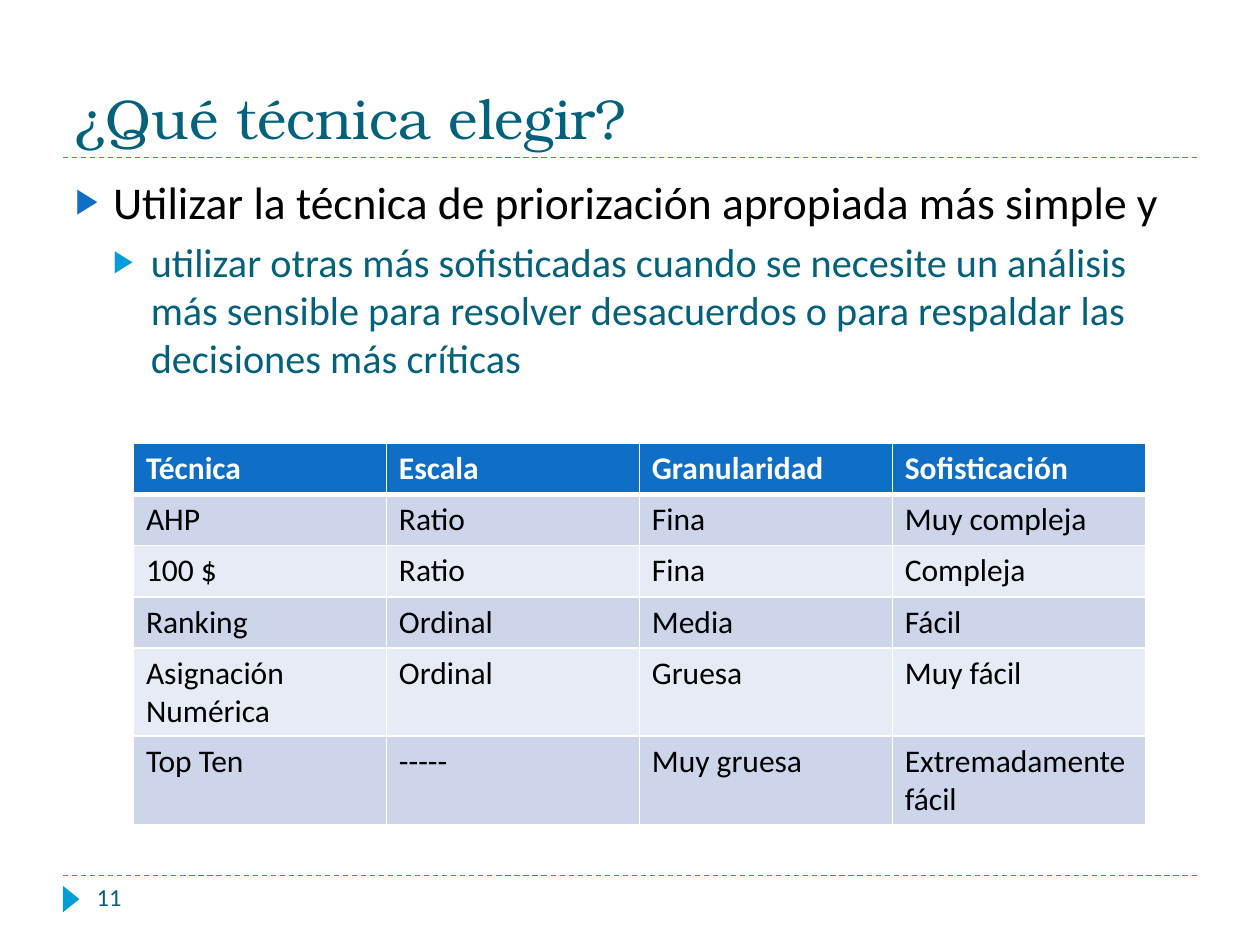
from lxml import etree
from pptx import Presentation
from pptx import util as u
from pptx.dml.color import RGBColor
from pptx.enum import dml, shapes, text
from pptx.oxml import ns

COLOURS = {
    "white": "FFFFFF",
    "black": "000000",
    "teal": "04617B",
    "blue": "0F6FC6",
    "cyan": "009DD9",
    "band_dark": "CCD5EA",
    "band_light": "E7EBF5",
}
BODY_FONT = "Calibri"
TITLE_FONT = "TeX Gyre Bonum"

TECHNIQUES = [
    ["Técnica", "Escala", "Granularidad", "Sofisticación"],
    ["AHP", "Ratio", "Fina", "Muy compleja"],
    ["100 $", "Ratio", "Fina", "Compleja"],
    ["Ranking", "Ordinal", "Media", "Fácil"],
    ["Asignación Numérica", "Ordinal", "Gruesa", "Muy fácil"],
    ["Top Ten", "-----", "Muy gruesa", "Extremadamente fácil"],
]


def colour(name):
    return RGBColor.from_string(COLOURS[name])


def add_element(parent, tag, **attributes):
    element = etree.SubElement(parent, ns.qn(tag))
    for key, value in attributes.items():
        element.set(key, str(value))
    return element


def write(para, words, size=18, font=BODY_FONT, ink="black", bold=False):
    span = para.add_run()
    span.text = words
    span.font.size = u.Pt(size)
    span.font.name = font
    span.font.bold = bold
    span.font.color.rgb = colour(ink)


def set_bullet(para, ink, level):
    step = u.Cm(0.76)
    properties = para._p.get_or_add_pPr()
    properties.set("marL", str(step * (level + 1)))
    properties.set("indent", str(-step))
    bullet_colour = add_element(properties, "a:buClr")
    add_element(bullet_colour, "a:srgbClr", val=COLOURS[ink])
    add_element(properties, "a:buSzPct", val=76000)
    add_element(properties, "a:buFont", typeface=BODY_FONT)
    add_element(properties, "a:buChar", char="▶")


def set_border(cell, side, width):
    line = add_element(cell._tc.get_or_add_tcPr(), f"a:ln{side}", w=u.Pt(width))
    fill = add_element(line, "a:solidFill")
    add_element(fill, "a:srgbClr", val=COLOURS["white"])


class SlideBuilder:
    def __init__(self, deck):
        self.page = deck.slides.add_slide(deck.slide_layouts[6])

    def rule(self, top):
        line = self.page.shapes.add_connector(
            shapes.MSO_CONNECTOR.STRAIGHT, u.Cm(1.27), u.Cm(top), u.Cm(24.13), u.Cm(top))
        line.line.color.rgb = colour("cyan")
        line.line.width = u.Pt(0.75)
        line.line.dash_style = dml.MSO_LINE.DASH
        add_element(line._element.spPr, "a:effectLst")

    def marker(self, left, top, width, height):
        triangle = self.page.shapes.add_shape(
            shapes.MSO_SHAPE.ISOSCELES_TRIANGLE,
            u.Cm(left), u.Cm(top), u.Cm(width), u.Cm(height))
        triangle.rotation = 90
        triangle.shadow.inherit = False
        triangle.fill.solid()
        triangle.fill.fore_color.rgb = colour("cyan")
        triangle.line.fill.background()

    def frame(self, left, top, width, height, anchor=text.MSO_ANCHOR.TOP):
        box = self.page.shapes.add_textbox(u.Cm(left), u.Cm(top), u.Cm(width), u.Cm(height))
        box.text_frame.word_wrap = True
        box.text_frame.vertical_anchor = anchor
        return box.text_frame

    def label(self, words, *place, anchor=text.MSO_ANCHOR.TOP, **style):
        write(self.frame(*place, anchor=anchor).paragraphs[0], words, **style)

    def bullets(self, items, *place):
        frame = self.frame(*place)
        for level, (words, size, ink, bullet_ink, space) in enumerate(items):
            para = frame.add_paragraph() if level else frame.paragraphs[0]
            para.level = level
            para.space_before = u.Pt(space)
            set_bullet(para, bullet_ink, level)
            write(para, words, size=size, ink=ink)

    def table(self, rows, left, top, width, row_height):
        grid = self.page.shapes.add_table(
            len(rows), len(rows[0]), u.Cm(left), u.Cm(top),
            u.Cm(width), u.Cm(row_height * len(rows))).table
        for index, row in enumerate(rows):
            header = index == 0
            band = "blue" if header else "band_dark" if index % 2 else "band_light"
            for column, words in enumerate(row):
                cell = grid.cell(index, column)
                for side in "LRTB":
                    thick = (header and side == "B") or (index == 1 and side == "T")
                    set_border(cell, side, 3 if thick else 1)
                cell.fill.solid()
                cell.fill.fore_color.rgb = colour(band)
                write(cell.text_frame.paragraphs[0], words,
                      ink="white" if header else "black", bold=header)


def main():
    deck = Presentation()
    deck.slide_width = u.Cm(25.4)
    deck.slide_height = u.Cm(19.05)
    slide = SlideBuilder(deck)
    slide.rule(17.65)
    slide.rule(3.18)
    slide.marker(1.17, 17.96, 0.53, 0.33)
    slide.label("¿Qué técnica elegir?", 1.27, 0.43, 22.86, 2.74,
                anchor=text.MSO_ANCHOR.BOTTOM, size=32, font=TITLE_FONT, ink="teal")
    slide.label("11", 1.7, 17.65, 5.51, 1.02, size=14, ink="teal")
    slide.bullets([
        ("Utilizar la técnica de priorización apropiada más simple y",
         26, "black", "blue", 6),
        ("utilizar otras más sofisticadas cuando se necesite un análisis más sensible "
         "para resolver desacuerdos o para respaldar las decisiones más críticas",
         23, "teal", "cyan", 5),
    ], 1.27, 3.38, 22.86, 5.33)
    slide.table(TECHNIQUES, 2.69, 8.94, 20.4, 1.03)
    deck.save("out.pptx")


if __name__ == "__main__":
    main()
